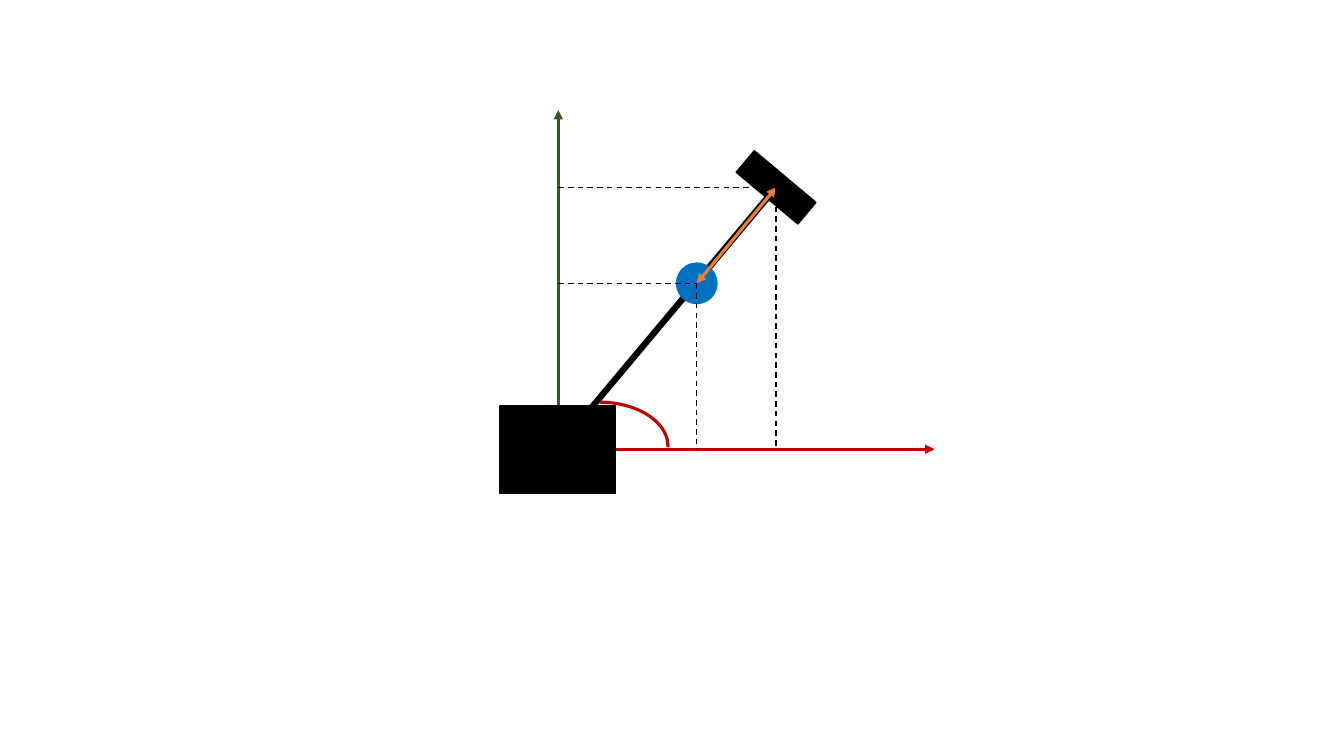
from lxml import etree
from pptx import Presentation
from pptx.dml.color import RGBColor
from pptx.enum import dml, shapes
from pptx.oxml import ns
from pptx.util import Cm, Pt

COLORS = {"black": "000000", "vertical": "385723", "red": "C00000",
          "joint": "0070C0", "distance": "ED7D31"}

# Centres and sizes in centimetres
ORIGIN = (14.07, 11.32)
JOINT = (17.56, 7.14)
TIP = (19.56, 4.72)
ARM_START = (14.17, 11.15)
AXIS_TOP, AXIS_RIGHT = 2.77, 23.55

# preset, centre, size, rotation, colour
BODIES = {
    "base": (shapes.MSO_SHAPE.RECTANGLE, (14.06, 11.34), (2.92, 2.21), 0, "black"),
    "tip": (shapes.MSO_SHAPE.RECTANGLE, TIP, (0.71, 2.03), 310, "black"),
    "joint": (shapes.MSO_SHAPE.OVAL, JOINT, (1.02, 1.02), 0, "joint"),
    "angle": (shapes.MSO_SHAPE.ARC, (15.11, 11.24), (3.45, 2.21), 0, "red"),
}


def add_body(slide, name):
    preset, (x, y), (width, height), rotation, color = BODIES[name]
    shape = slide.shapes.add_shape(preset, Cm(x - width / 2), Cm(y - height / 2),
                                   Cm(width), Cm(height))
    shape.shadow.inherit = False
    shape.rotation = rotation
    shape.line.color.rgb = RGBColor.from_string(COLORS[color])
    if preset == shapes.MSO_SHAPE.ARC:
        shape.fill.background()
        shape.line.width = Pt(2.25)
        shape.adjustments[1] = 0.62
    else:
        shape.fill.solid()
        shape.fill.fore_color.rgb = RGBColor.from_string(COLORS[color])
        shape.line.width = Pt(1)


def add_line(slide, start, end, color, width, arrows=(), dashed=False):
    """Draw a straight line; arrows lists the ends, headEnd or tailEnd, to point."""
    connector = slide.shapes.add_connector(
        shapes.MSO_CONNECTOR.STRAIGHT, *(Cm(value) for value in start + end))
    connector.line.color.rgb = RGBColor.from_string(COLORS[color])
    connector.line.width = Pt(width)
    if dashed:
        connector.line.dash_style = dml.MSO_LINE.DASH
    properties = connector._element.spPr
    outline = properties.find(ns.qn("a:ln"))
    for arrow in arrows:
        etree.SubElement(outline, ns.qn(f"a:{arrow}"), type="triangle")
    etree.SubElement(properties, ns.qn("a:effectLst"))


def main():
    presentation = Presentation()
    presentation.slide_width, presentation.slide_height = Cm(33.87), Cm(19.05)
    slide = presentation.slides.add_slide(presentation.slide_layouts[6])

    add_line(slide, ORIGIN, (ORIGIN[0], AXIS_TOP), "vertical", 2.25, ["tailEnd"])
    add_line(slide, ORIGIN, (AXIS_RIGHT, ORIGIN[1]), "red", 2.25, ["tailEnd"])
    add_body(slide, "base")
    add_line(slide, ARM_START, TIP, "black", 4.5)
    for name in ("tip", "joint", "angle"):
        add_body(slide, name)
    add_line(slide, JOINT, TIP, "distance", 2.25, ["headEnd", "tailEnd"])
    for x, y in (TIP, JOINT):
        add_line(slide, (x, y), (x, ORIGIN[1]), "black", 1, dashed=True)
        add_line(slide, (ORIGIN[0], y), (x, y), "black", 1, dashed=True)

    presentation.save("out.pptx")


if __name__ == "__main__":
    main()
